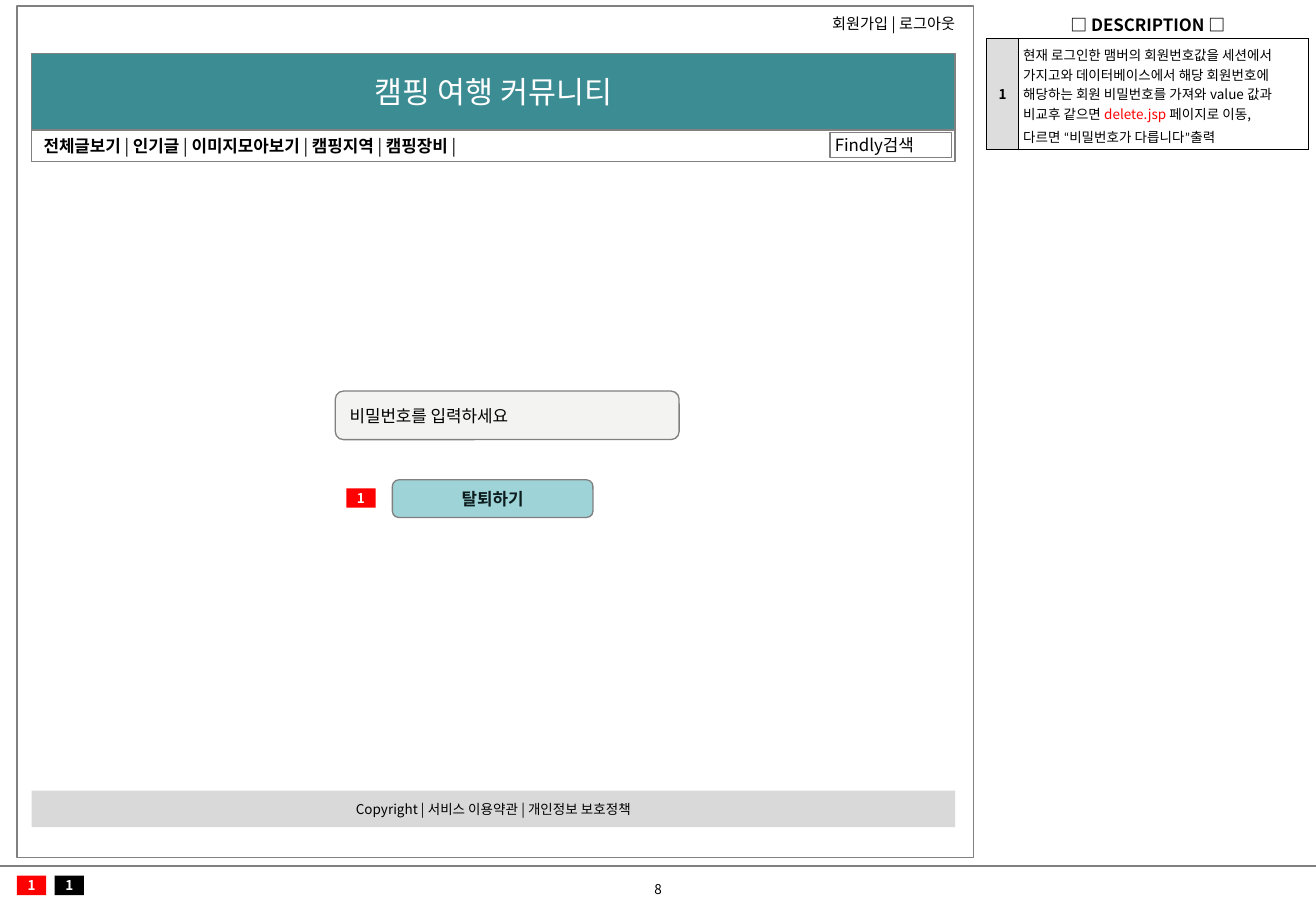
"""Build the member withdrawal screen of a camping community storyboard."""
from lxml.etree import SubElement
from pptx import Presentation
from pptx.dml.color import RGBColor
from pptx.enum.shapes import MSO_CONNECTOR, MSO_SHAPE
from pptx.enum.text import MSO_ANCHOR, PP_ALIGN
from pptx.oxml.ns import qn
from pptx.util import Inches, Pt

BLACK = RGBColor(0x00, 0x00, 0x00)
WHITE = RGBColor(0xFF, 0xFF, 0xFF)
RED = RGBColor(0xFF, 0x00, 0x00)
GRAY = RGBColor(0x80, 0x80, 0x80)
FOOTER_GRAY = RGBColor(0xD9, 0xD9, 0xD9)
NUMBER_GRAY = RGBColor(0xDD, 0xDD, 0xDD)
FIELD_GRAY = RGBColor(0xF3, 0xF3, 0xF1)
TEAL = RGBColor(0x3C, 0x8C, 0x93)
PALE_TEAL = RGBColor(0x9E, 0xD3, 0xD7)
DARK_TEAL = RGBColor(0x0C, 0x1C, 0x1D)

FONT = "Noto Sans CJK KR"
QUOTE_FONT = "Calibri"
LEFT, CENTER = PP_ALIGN.LEFT, PP_ALIGN.CENTER
RECT, ROUNDED = MSO_SHAPE.RECTANGLE, MSO_SHAPE.ROUNDED_RECTANGLE

MENU = ["전체글보기", "인기글", "이미지모아보기", "캠핑지역", "캠핑장비"]
MENU_RUNS = [run for item in MENU
             for run in ((item + " ", {"bold": True}), ("| ", {"bold": False}))]
RULE = [
    [("현재 로그인한 맴버의 회원번호값을 세션에서 가지고와 데이터베이스에서 "
      "해당 회원번호에 해당하는 회원 비밀번호를 가져와 value 값과 비교후 같으면 ", {}),
     ("delete.jsp ", {"color": RED}), ("페이지로 이동,", {})],
    [("다르면 ", {}), ("“", {"face": QUOTE_FONT}), ("비밀번호가 다릅니다", {}),
     ("”", {"face": QUOTE_FONT}), ("출력", {})],
]

# Places are left, top, width, height in percent of the slide.
PANELS = [
    (ROUNDED, (25.48, 42.93, 26.13, 5.33), FIELD_GRAY, GRAY, 0.1,
     "비밀번호를 입력하세요", 10, BLACK, False, LEFT),
    (ROUNDED, (29.82, 52.67, 15.24, 4.13), PALE_TEAL, GRAY, 0.04,
     "탈퇴하기", 10, DARK_TEAL, True, CENTER),
    (RECT, (2.4, 86.8, 70.18, 4), FOOTER_GRAY, None, 0.04,
     "Copyright | 서비스 이용약관 | 개인정보 보호정책", 8, BLACK, False, CENTER),
    (RECT, (2.4, 5.87, 70.18, 8.4), TEAL, GRAY, 0.04,
     "캠핑 여행 커뮤니티", 18, WHITE, False, CENTER),
    (RECT, (2.4, 14.27, 70.18, 3.47), WHITE, GRAY, 0.1,
     MENU_RUNS, 10, BLACK, None, LEFT),
    (RECT, (63.07, 14.53, 9.23, 2.8), WHITE, GRAY, 0.04,
     "Findly검색", 10, BLACK, False, LEFT),
    (RECT, (1.29, 0.67, 72.67, 93.47), None, GRAY, 0.04,
     "", 10, BLACK, False, LEFT),
]
BADGES = [(1.29, 96.13, RED), (4.16, 96.13, BLACK), (26.32, 53.6, RED)]
BADGE_SIZE = (2.22, 2.13)
LABELS = [((46.54, 95.87, 6.93, 3.47), "8", 8, CENTER, MSO_ANCHOR.MIDDLE),
          ((62.33, 0.93, 11.82, 3.33), "회원가입 | 로그아웃", 9, LEFT, MSO_ANCHOR.TOP)]
DIVIDER_TOP = 95.07
TABLE_PLACE = (74.98, 0.67, 24.47, 15.46)
TABLE_COLUMNS = (2.4, 22.07)
TABLE_ROWS = (3.33, 12.13)

deck = Presentation()
deck.slide_width, deck.slide_height = Inches(10.83), Inches(7.5)
slide = deck.slides.add_slide(deck.slide_layouts[6])


def across(percent):
    return round(deck.slide_width * percent / 100)


def down(percent):
    return round(deck.slide_height * percent / 100)


def box(place):
    left, top, width, height = place
    return across(left), down(top), across(width), down(height)


def write(paragraph, content, size, color, bold, align, before=0):
    paragraph.alignment = align
    paragraph.space_before = Pt(before)
    font = paragraph.font
    font.size, font.bold, font.name = Pt(size), bold, FONT
    font.color.rgb = color
    defaults = paragraph._p.get_or_add_pPr().find(qn("a:defRPr"))
    SubElement(defaults, qn("a:ea")).set("typeface", FONT)
    runs = [(content, {})] if isinstance(content, str) else content
    for text, style in runs:
        run = paragraph.add_run()
        run.text = text
        if "bold" in style:
            run.font.bold = style["bold"]
        if "color" in style:
            run.font.color.rgb = style["color"]
        if "face" in style:
            run.font.name = style["face"]
            SubElement(run.font._element if hasattr(run.font, "_element") else run._r.rPr,
                       qn("a:ea")).set("typeface", style["face"])


def panel(kind, place, fill, line, inset, content, size, color, bold, align):
    shape = slide.shapes.add_shape(kind, *box(place))
    shape.shadow.inherit = False
    if fill is None:
        shape.fill.background()
    else:
        shape.fill.solid()
        shape.fill.fore_color.rgb = fill
    if line is None:
        shape.line.fill.background()
    else:
        shape.line.color.rgb, shape.line.width = line, Pt(0.77)
    frame = shape.text_frame
    frame.word_wrap, frame.vertical_anchor = True, MSO_ANCHOR.MIDDLE
    frame.margin_left = frame.margin_right = Inches(inset)
    frame.margin_top = frame.margin_bottom = 0
    if content:
        write(frame.paragraphs[0], content, size, color, bold, align)


def border(cell, visible):
    properties = cell._tc.get_or_add_tcPr()
    for index, side in enumerate(("lnL", "lnR", "lnT", "lnB")):
        edge = properties.makeelement(qn("a:" + side), {"w": str(Pt(0.45))})
        properties.insert(index, edge)
        if side in visible:
            paint = SubElement(edge, qn("a:solidFill"))
            SubElement(paint, qn("a:srgbClr")).set("val", str(BLACK))
        else:
            SubElement(edge, qn("a:noFill"))


def fill_cell(cell, paragraphs, size, bold, align, fill, before, visible):
    cell.fill.solid()
    cell.fill.fore_color.rgb = fill
    cell.vertical_anchor = MSO_ANCHOR.MIDDLE
    cell.margin_left = cell.margin_right = Inches(0.04)
    cell.margin_top = cell.margin_bottom = Inches(0.05)
    frame = cell.text_frame
    for index, content in enumerate(paragraphs):
        paragraph = frame.add_paragraph() if index else frame.paragraphs[0]
        write(paragraph, content, size, BLACK, bold, align, before if index else 0)
    border(cell, visible)


for spec_row in PANELS:
    panel(*spec_row)
for left, top, fill in BADGES:
    panel(RECT, (left, top, *BADGE_SIZE), fill, None, 0, "1", 8, WHITE, True, CENTER)
for place, content, size, align, anchor in LABELS:
    label = slide.shapes.add_textbox(*box(place)).text_frame
    label.word_wrap, label.vertical_anchor = False, anchor
    write(label.paragraphs[0], content, size, BLACK, False, align)

divider = slide.shapes.add_connector(
    MSO_CONNECTOR.STRAIGHT, 0, down(DIVIDER_TOP), deck.slide_width, down(DIVIDER_TOP))
divider.line.color.rgb, divider.line.width = GRAY, Pt(0.77)
SubElement(divider._element.spPr, qn("a:effectLst"))

description = slide.shapes.add_table(2, 2, *box(TABLE_PLACE)).table
description.first_row = description.horz_banding = False
for column, share in zip(description.columns, TABLE_COLUMNS):
    column.width = across(share)
for row, share in zip(description.rows, TABLE_ROWS):
    row.height = down(share)
heading = description.cell(0, 0)
heading.merge(description.cell(0, 1))
ALL_SIDES = ("lnL", "lnR", "lnT", "lnB")
fill_cell(heading, ["□ DESCRIPTION □"], 10, True, CENTER, WHITE, 0, ("lnB",))
fill_cell(description.cell(1, 0), ["1"], 8, True, CENTER, NUMBER_GRAY, 0, ALL_SIDES)
fill_cell(description.cell(1, 1), RULE, 8, False, LEFT, WHITE, 2, ALL_SIDES)

deck.save("out.pptx")
